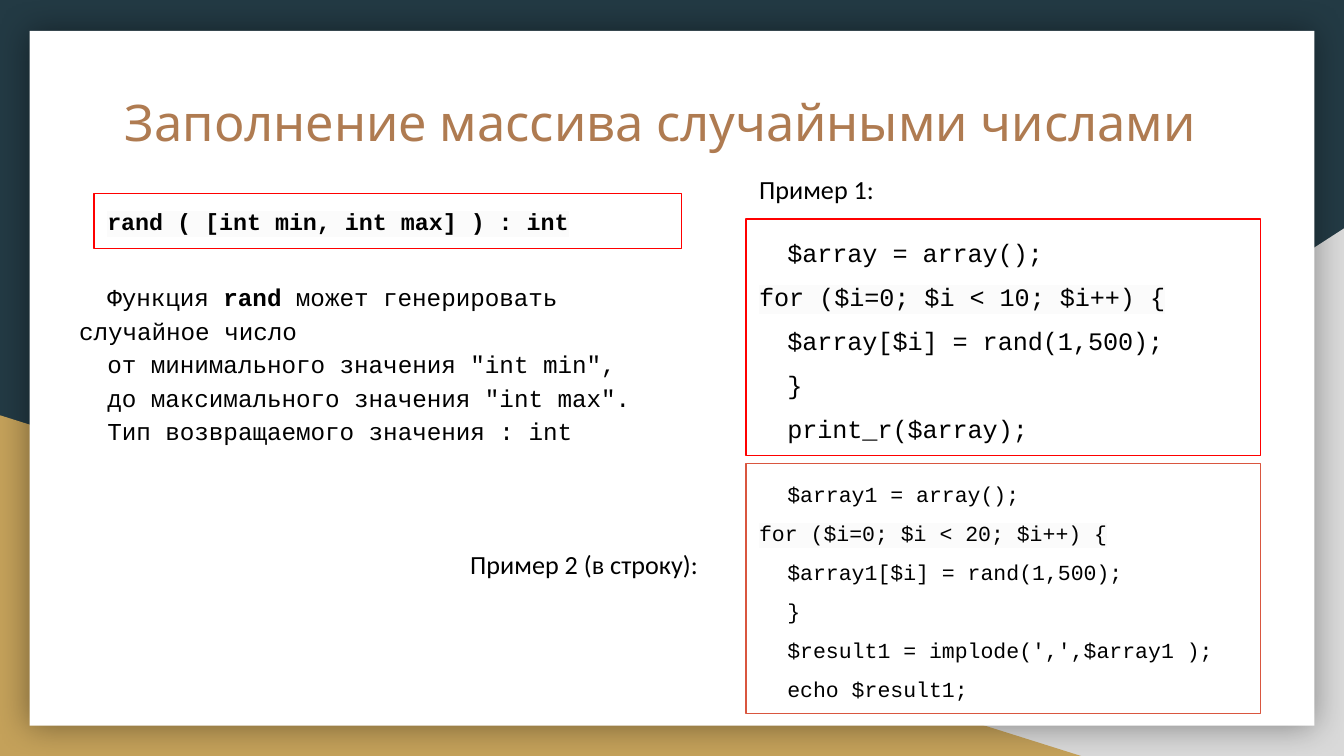
from dataclasses import dataclass

from lxml.etree import SubElement
from pptx import Presentation
from pptx.dml.color import RGBColor
from pptx.enum.shapes import MSO_SHAPE as Preset
from pptx.enum.text import MSO_ANCHOR as Anchor, MSO_AUTO_SIZE as AutoSize, PP_ALIGN as Align
from pptx.oxml.ns import qn
from pptx.util import Inches, Pt


@dataclass(frozen=True)
class Theme:
    dark: str = "233A44"
    gray: str = "D9D9D9"
    gold: str = "C4A15A"
    card: str = "FFFFFF"
    title: str = "AF7B51"
    text: str = "000000"
    highlight: str = "FBFBFB"
    red: str = "FF0000"
    coral: str = "D9563F"
    title_font: str = "League Spartan"
    code_font: str = "Courier New"
    label_font: str = "Calibri"
    title_size: float = 27
    label_size: float = 14
    body_size: float = 13
    syntax_size: float = 12.5


THEME = Theme()
SLIDE_WIDTH = Inches(10)
SLIDE_HEIGHT = SLIDE_WIDTH * 9 // 16
CODE_INDENT = 0.21
COLUMN_LEFT, COLUMN_WIDTH = 5.55, 3.83

TITLE = "Заполнение массива случайными числами"
SYNTAX = ["rand ( [int min, int max] ) : int"]
# A paragraph is a string, or a list of (text, bold) runs.
DESCRIPTION = [
    [("Функция ", False), ("rand", True), (" может генерировать случайное число", False)],
    'от минимального значения "int min",',
    'до максимального значения "int max".',
    "Тип возвращаемого значения : int",
]
LABELS = [("Пример 1:", COLUMN_LEFT, 1.19), ("Пример 2 (в строку):", 3.4, 3.98)]
EXAMPLES = [
    dict(top=1.63, height=1.76, size=13.5, line=THEME.red, code=[
        "$array = array();",
        "for ($i=0; $i < 10; $i++) {",
        "$array[$i] = rand(1,500);",
        "}",
        "print_r($array);",
    ]),
    dict(top=3.45, height=1.86, size=11.5, line=THEME.coral, code=[
        "$array1 = array();",
        "for ($i=0; $i < 20; $i++) {",
        "$array1[$i] = rand(1,500);",
        "}",
        "$result1 = implode(',',$array1 );",
        "echo $result1;",
    ]),
]


def rgb(color):
    return RGBColor.from_string(color)


def add_shape(slide, preset, box, fill=None, line=None, flip=False):
    shape = slide.shapes.add_shape(preset, *map(Inches, box))
    shape.shadow.inherit = False
    if fill:
        shape.fill.solid()
        shape.fill.fore_color.rgb = rgb(fill)
    else:
        shape.fill.background()
    if line:
        shape.line.color.rgb = rgb(line)
        shape.line.width = Pt(0.75)
    else:
        shape.line.fill.background()
    if flip:
        shape.element.spPr.find(qn("a:xfrm")).set("flipH", "1")
    return shape


def add_soft_shadow(shape):
    effects = shape.element.spPr.find(qn("a:effectLst"))
    shadow = SubElement(effects, qn("a:outerShdw"), blurRad=str(Pt(18)), dist="0", dir="0")
    color = SubElement(shadow, qn("a:srgbClr"), val="000000")
    SubElement(color, qn("a:alpha"), val="40000")


def highlight_run(run, color):
    properties = run._r.get_or_add_rPr()
    highlight = properties.makeelement(qn("a:highlight"), {})
    SubElement(highlight, qn("a:srgbClr"), val=color)
    properties.find(qn("a:solidFill")).addnext(highlight)


def write_text(shape, paragraphs, font, size, color=THEME.text, bold=False, indent=0,
               spacing=1.0, before=0, after=0, highlighted=(), autosize=AutoSize.SHAPE_TO_FIT_TEXT):
    """Fill the shape; paragraphs starting with a prefix in highlighted are marked, not indented."""
    frame = shape.text_frame
    frame.word_wrap = True
    frame.auto_size = autosize
    frame.vertical_anchor = Anchor.TOP
    frame.margin_left = frame.margin_right = frame.margin_top = frame.margin_bottom = Inches(0.1)
    for index, content in enumerate(paragraphs):
        paragraph = frame.add_paragraph() if index else frame.paragraphs[0]
        paragraph.alignment = Align.LEFT
        paragraph.line_spacing = spacing
        paragraph.space_before = Pt(before)
        paragraph.space_after = Pt(after if index == len(paragraphs) - 1 else 0)
        runs = [(content, bold)] if isinstance(content, str) else content
        marked = bool(highlighted) and runs[0][0].startswith(highlighted)
        properties = paragraph._p.get_or_add_pPr()
        properties.set("marL", "0")
        properties.set("indent", str(0 if marked else Inches(indent)))
        for text, is_bold in runs:
            run = paragraph.add_run()
            run.text = text
            run.font.name = font
            run.font.size = Pt(size)
            run.font.bold = is_bold
            run.font.color.rgb = rgb(color)
            if marked:
                highlight_run(run, THEME.highlight)


def add_text(slide, box, paragraphs, **text_format):
    write_text(slide.shapes.add_textbox(*map(Inches, box)), paragraphs, **text_format)


def add_backdrop(slide):
    slide.background.fill.solid()
    slide.background.fill.fore_color.rgb = rgb(THEME.dark)
    add_shape(slide, Preset.RIGHT_TRIANGLE, (3.92, 1.7, 6.08, 3.93), fill=THEME.gray, flip=True)
    add_shape(slide, Preset.RIGHT_TRIANGLE, (0, 3.09, 8.06, 2.54), fill=THEME.gold)
    card = add_shape(slide, Preset.RECTANGLE, (0.22, 0.23, 9.56, 5.17), fill=THEME.card)
    add_soft_shadow(card)
    return card


def main():
    presentation = Presentation()
    presentation.slide_width, presentation.slide_height = SLIDE_WIDTH, SLIDE_HEIGHT
    slide = presentation.slides.add_slide(presentation.slide_layouts[5])
    card = add_backdrop(slide)

    title = slide.shapes.title
    card.element.addnext(title.element)
    title.left, title.top, title.width, title.height = map(Inches, (0.83, 0.58, 8.21, 1.04))
    write_text(title, [TITLE], font=THEME.title_font, size=THEME.title_size,
               color=THEME.title, autosize=AutoSize.NONE)

    syntax = add_shape(slide, Preset.RECTANGLE, (0.7, 1.44, 4.37, 0.41), line=THEME.red)
    write_text(syntax, SYNTAX, font=THEME.code_font, size=THEME.syntax_size, bold=True,
               highlighted=("rand",))
    add_text(slide, (0.49, 1.97, 4.51, 1.43), DESCRIPTION, font=THEME.code_font,
             size=THEME.body_size, indent=CODE_INDENT, spacing=1.15)

    for text, left, top in LABELS:
        add_text(slide, (left, top, 2.28, 0.44), [text], font=THEME.label_font,
                 size=THEME.label_size)
    for example in EXAMPLES:
        box = (COLUMN_LEFT, example["top"], COLUMN_WIDTH, example["height"])
        frame = add_shape(slide, Preset.RECTANGLE, box, line=example["line"])
        write_text(frame, example["code"], font=THEME.code_font, size=example["size"],
                   indent=CODE_INDENT, spacing=1.15, before=5, after=5, highlighted=("for",))

    presentation.save("out.pptx")


if __name__ == "__main__":
    main()
